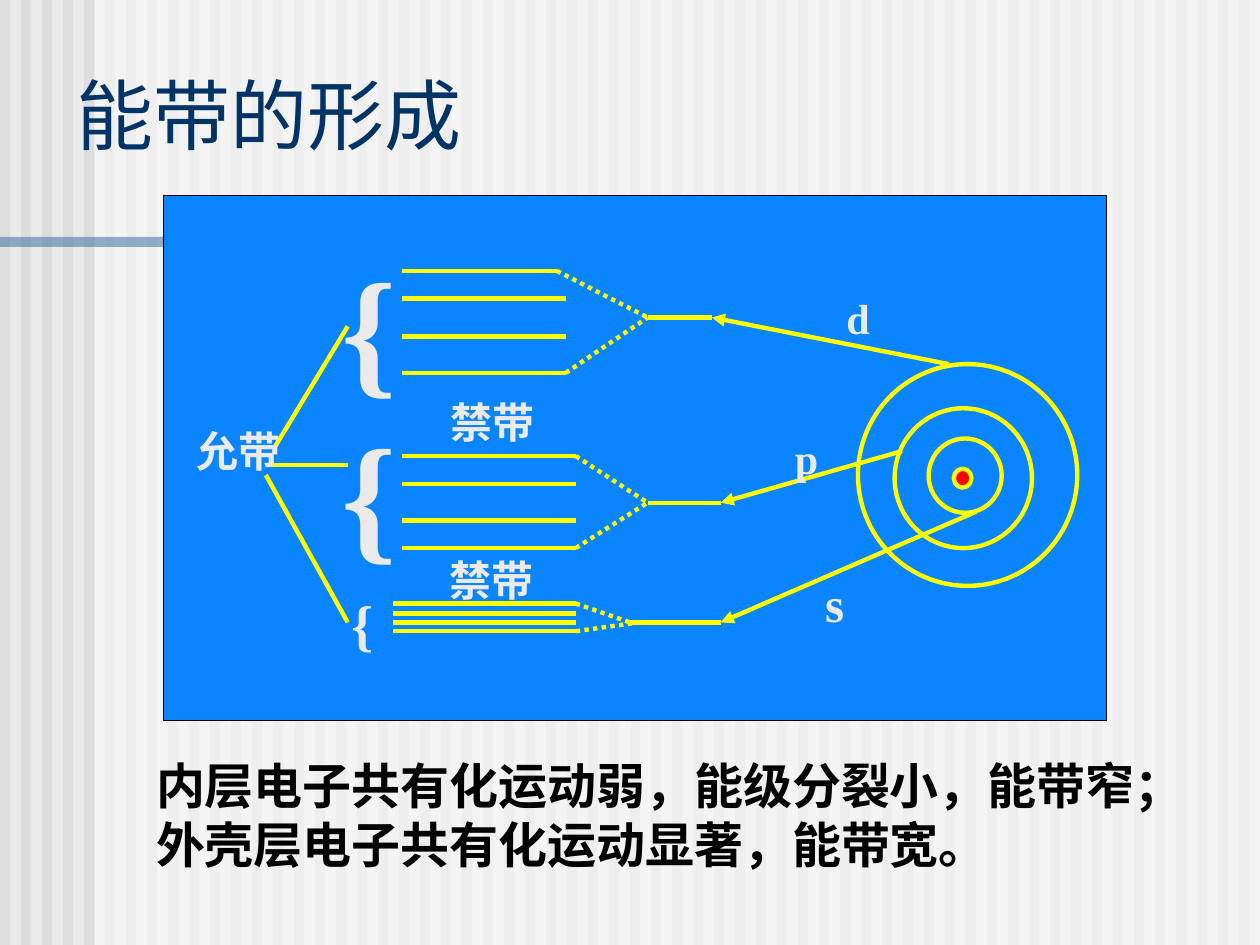
from lxml import etree
from pptx import Presentation
from pptx.dml.color import RGBColor
from pptx.enum import dml, shapes, text
from pptx.oxml import ns
from pptx.util import Inches, Pt

COLORS = {
    "page": "EAEAEA",
    "stripe": "DDDDDD",
    "veil": "FFFFFF",
    "rule": "336699",
    "panel": "0A85FF",
    "border": "000000",
    "title": "003366",
    "label": "EAEAEA",
    "level": "FFFF00",
    "nucleus": "FF0000",
    "caption": "000000",
}
SERIF = "Times New Roman"
LINE_WIDTH = 2.5

BANDS = [
    {"left": 3.19, "right": 4.49, "levels": [2.15, 2.37, 2.67, 2.96],
     "top_right": 4.42, "joins": (5.14, 5.14), "atom": (5.14, 5.65, 2.52),
     "orbit": (7.53, 2.89)},
    {"left": 3.19, "right": 4.57, "levels": [3.62, 3.84, 4.13, 4.35],
     "top_right": 4.57, "joins": (5.14, 5.14), "atom": (5.14, 5.72, 3.99),
     "orbit": (7.16, 3.58)},
    {"left": 3.12, "right": 4.57, "levels": [4.79, 4.87, 4.94, 5.01],
     "top_right": 4.57, "joins": (5, 5.07), "atom": (5, 5.72, 4.94),
     "orbit": (7.75, 4.06)},
]
ORBITS = [
    (6.81, 2.89, 1.74, 1.76, None),
    (7.1, 3.24, 1.09, 1.11, None),
    (7.37, 3.48, 0.58, 0.59, None),
    (7.57, 3.72, 0.14, 0.15, "nucleus"),
]
POINTERS = [
    ((2.18, 3.55), (2.76, 2.59)),
    ((2.11, 3.69), (2.76, 3.69)),
    ((2.11, 3.77), (2.76, 4.94)),
]
LABELS = [
    ("允带", 1.46, 3.33, 1.1, 0.5, 24),
    ("{", 2.61, 1.86, 0.59, 1.43, 80),
    ("{", 2.61, 3.18, 0.64, 1.43, 80),
    ("{", 2.69, 4.63, 0.38, 0.63, 32),
    ("禁带", 3.48, 3.1, 1.44, 0.5, 24),
    ("禁带", 3.47, 4.35, 1.45, 0.5, 24),
    ("d", 6.62, 2.27, 0.67, 0.5, 24),
    ("p", 6.21, 3.38, 0.3, 0.5, 24),
    ("s", 6.45, 4.5, 0.52, 0.57, 28),
]
CAPTION = "内层电子共有化运动弱，能级分裂小，能带窄；外壳层电子共有化运动显著，能带宽。"


def rgb(name):
    return RGBColor.from_string(COLORS[name])


def add_figure(page, kind, bounds, fill=None, line=None, width=LINE_WIDTH, alpha=None):
    figure = page.shapes.add_shape(kind, *map(Inches, bounds))
    figure.shadow.inherit = False
    if fill:
        figure.fill.solid()
        figure.fill.fore_color.rgb = rgb(fill)
    else:
        figure.fill.background()
    if alpha:
        color = figure.element.spPr.find(".//" + ns.qn("a:srgbClr"))
        etree.SubElement(color, ns.qn("a:alpha"), val=str(alpha * 1000))
    if line:
        figure.line.color.rgb = rgb(line)
        figure.line.width = Pt(width)
    else:
        figure.line.fill.background()


def add_line(page, start, end, dotted=False, arrow=False):
    line = page.shapes.add_connector(
        shapes.MSO_CONNECTOR.STRAIGHT, *map(Inches, (*start, *end)))
    line.line.color.rgb = rgb("level")
    line.line.width = Pt(LINE_WIDTH)
    if dotted:
        line.line.dash_style = dml.MSO_LINE.ROUND_DOT
    if arrow:
        etree.SubElement(line.line._get_or_add_ln(), ns.qn("a:tailEnd"), type="triangle")
    etree.SubElement(line.element.spPr, ns.qn("a:effectLst"))


def style_text(para, size, color, font=SERIF, bold=True):
    para.alignment = text.PP_ALIGN.LEFT
    para.font.size = Pt(size)
    para.font.name = font
    para.font.bold = bold
    para.font.color.rgb = rgb(color)


def add_text(page, words, bounds, size, color):
    box = page.shapes.add_textbox(*map(Inches, bounds))
    box.text_frame.word_wrap = True
    para = box.text_frame.paragraphs[0]
    para.text = words
    style_text(para, size, color)


def add_title(page, words):
    title = page.shapes.title
    title.left, title.top, title.width, title.height = map(Inches, (0.51, 0.28, 9, 1.25))
    title.text_frame.text = words
    title.text_frame.vertical_anchor = text.MSO_ANCHOR.MIDDLE
    style_text(title.text_frame.paragraphs[0], 44, "title", "DejaVu Sans", False)
    title.element.getparent().append(title.element)


def add_backdrop(page):
    page.background.fill.solid()
    page.background.fill.fore_color.rgb = rgb("page")
    rectangle = shapes.MSO_SHAPE.RECTANGLE
    for index in range(60):
        add_figure(page, rectangle, (index / 6, 0, 0.08, 7.5), "stripe")
    add_figure(page, rectangle, (0.75, 0, 9.25, 7.5), "veil", alpha=50)
    add_figure(page, rectangle, (0, 1.88, 7.6, 0.08), "rule", alpha=50)
    add_figure(page, rectangle, (1.3, 1.55, 7.48, 4.17), "panel", "border", 0.75)


def add_band(page, band):
    levels = band["levels"]
    atom_left, atom_right, atom_y = band["atom"]
    rights = [band["top_right"]] + [band["right"]] * (len(levels) - 1)
    for y, right in zip(levels, rights):
        add_line(page, (band["left"], y), (right, y))
    for index, join in zip((0, -1), band["joins"]):
        add_line(page, (rights[index], levels[index]), (join, atom_y), dotted=True)
    add_line(page, (atom_left, atom_y), (atom_right, atom_y))
    add_line(page, band["orbit"], (atom_right, atom_y), arrow=True)


def main():
    deck = Presentation()
    deck.slide_width, deck.slide_height = Inches(10), Inches(7.5)
    page = deck.slides.add_slide(deck.slide_layouts[5])
    add_backdrop(page)
    add_title(page, "能带的形成")
    for start, end in POINTERS:
        add_line(page, start, end)
    for *bounds, fill in ORBITS:
        add_figure(page, shapes.MSO_SHAPE.FLOWCHART_CONNECTOR, bounds, fill, "level")
    for band in BANDS:
        add_band(page, band)
    for words, *bounds, size in LABELS:
        add_text(page, words, bounds, size, "label")
    add_text(page, CAPTION, (1.14, 5.95, 8.51, 1.03), 28, "caption")
    deck.save("out.pptx")


if __name__ == "__main__":
    main()
